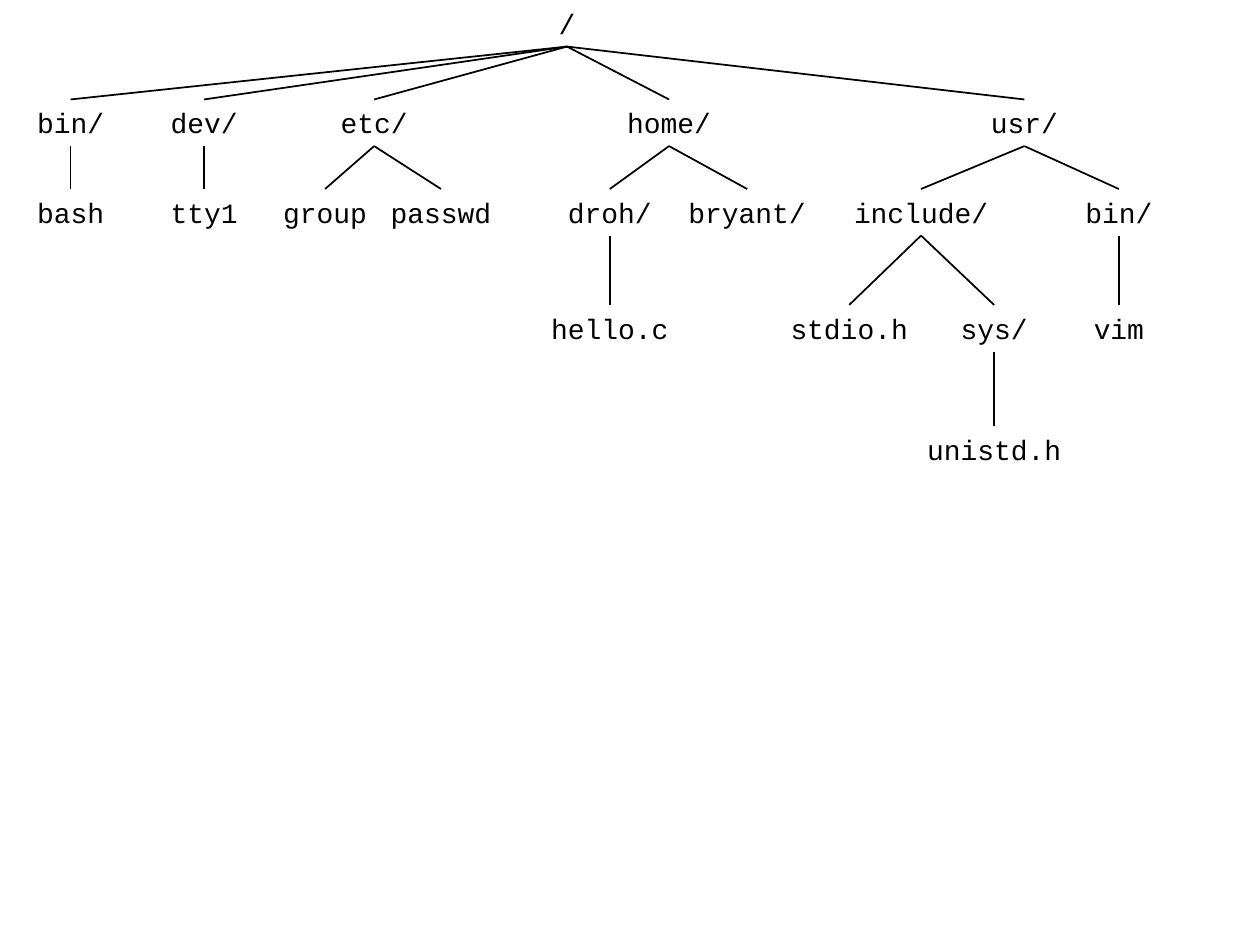
"""Draw a directory tree, from the root down to single files."""
import dataclasses

import pptx
import pptx.dml.color
import pptx.enum.shapes
import pptx.enum.text
import pptx.oxml.ns
import pptx.shapes.autoshape
import pptx.slide
import pptx.util
from lxml import etree


@dataclasses.dataclass(frozen=True)
class Theme:
    ink: pptx.dml.color.RGBColor = pptx.dml.color.RGBColor(0, 0, 0)
    paper: pptx.dml.color.RGBColor = pptx.dml.color.RGBColor(255, 255, 255)
    font: str = "Courier New"
    label_size: int = 16
    branch_weight: int = 1


@dataclasses.dataclass(frozen=True)
class Entry:
    label: str
    center: float
    children: tuple["Entry", ...] = ()


THEME = Theme()
SLIDE_WIDTH = pptx.util.Inches(10)
SLIDE_HEIGHT = pptx.util.Inches(7.5)
LEVEL_TOPS = (0, 10.53, 20, 32.27, 45.07)
LABEL_HEIGHT = 4.93
LABEL_PADDING = 2
CHARACTER_WIDTH = 1.35
BOTTOM_SIDE, TOP_SIDE = 2, 0

ROOT = Entry("/", 45, (
    Entry("bin/", 5.6, (Entry("bash", 5.6),)),
    Entry("dev/", 16.2, (Entry("tty1", 16.2),)),
    Entry("etc/", 29.7, (Entry("group", 25.8), Entry("passwd", 35))),
    Entry("home/", 53.1, (
        Entry("droh/", 48.4, (Entry("hello.c", 48.4),)),
        Entry("bryant/", 59.3),
    )),
    Entry("usr/", 81.3, (
        Entry("include/", 73.1, (
            Entry("stdio.h", 67.4),
            Entry("sys/", 78.9, (Entry("unistd.h", 78.9),)),
        )),
        Entry("bin/", 88.8, (Entry("vim", 88.8),)),
    )),
))


def across(percent: float) -> int:
    return round(SLIDE_WIDTH * percent / 100)


def down(percent: float) -> int:
    return round(SLIDE_HEIGHT * percent / 100)


def add_label(slide: pptx.slide.Slide, text: str, *, center: float, top: float,
              size: int = THEME.label_size,
              color: pptx.dml.color.RGBColor = THEME.ink) -> pptx.shapes.autoshape.Shape:
    width = LABEL_PADDING + CHARACTER_WIDTH * len(text)
    label = slide.shapes.add_textbox(
        across(center - width / 2), down(top), across(width), down(LABEL_HEIGHT))
    frame = label.text_frame
    frame.word_wrap = False
    frame.auto_size = pptx.enum.text.MSO_AUTO_SIZE.SHAPE_TO_FIT_TEXT
    paragraph = frame.paragraphs[0]
    paragraph.alignment = pptx.enum.text.PP_ALIGN.CENTER
    run = paragraph.add_run()
    run.text = text
    run.font.name = THEME.font
    run.font.size = pptx.util.Pt(size)
    run.font.color.rgb = color
    return label


def add_branch(slide: pptx.slide.Slide, parent: pptx.shapes.autoshape.Shape,
               child: pptx.shapes.autoshape.Shape) -> None:
    branch = slide.shapes.add_connector(
        pptx.enum.shapes.MSO_CONNECTOR.STRAIGHT, 0, 0, 0, 0)
    branch.begin_connect(parent, BOTTOM_SIDE)
    branch.end_connect(child, TOP_SIDE)
    branch.line.color.rgb = THEME.ink
    branch.line.width = pptx.util.Pt(THEME.branch_weight)
    etree.SubElement(branch._element.spPr, pptx.oxml.ns.qn("a:effectLst"))


def draw_tree(slide: pptx.slide.Slide, entry: Entry,
              level: int = 0) -> pptx.shapes.autoshape.Shape:
    label = add_label(slide, entry.label, center=entry.center, top=LEVEL_TOPS[level])
    for child in entry.children:
        add_branch(slide, label, draw_tree(slide, child, level + 1))
    return label


def main() -> None:
    presentation = pptx.Presentation()
    presentation.slide_width = SLIDE_WIDTH
    presentation.slide_height = SLIDE_HEIGHT
    slide = presentation.slides.add_slide(presentation.slide_layouts.get_by_name("Blank"))
    slide.background.fill.solid()
    slide.background.fill.fore_color.rgb = THEME.paper
    draw_tree(slide, ROOT)
    presentation.save("out.pptx")


if __name__ == "__main__":
    main()
